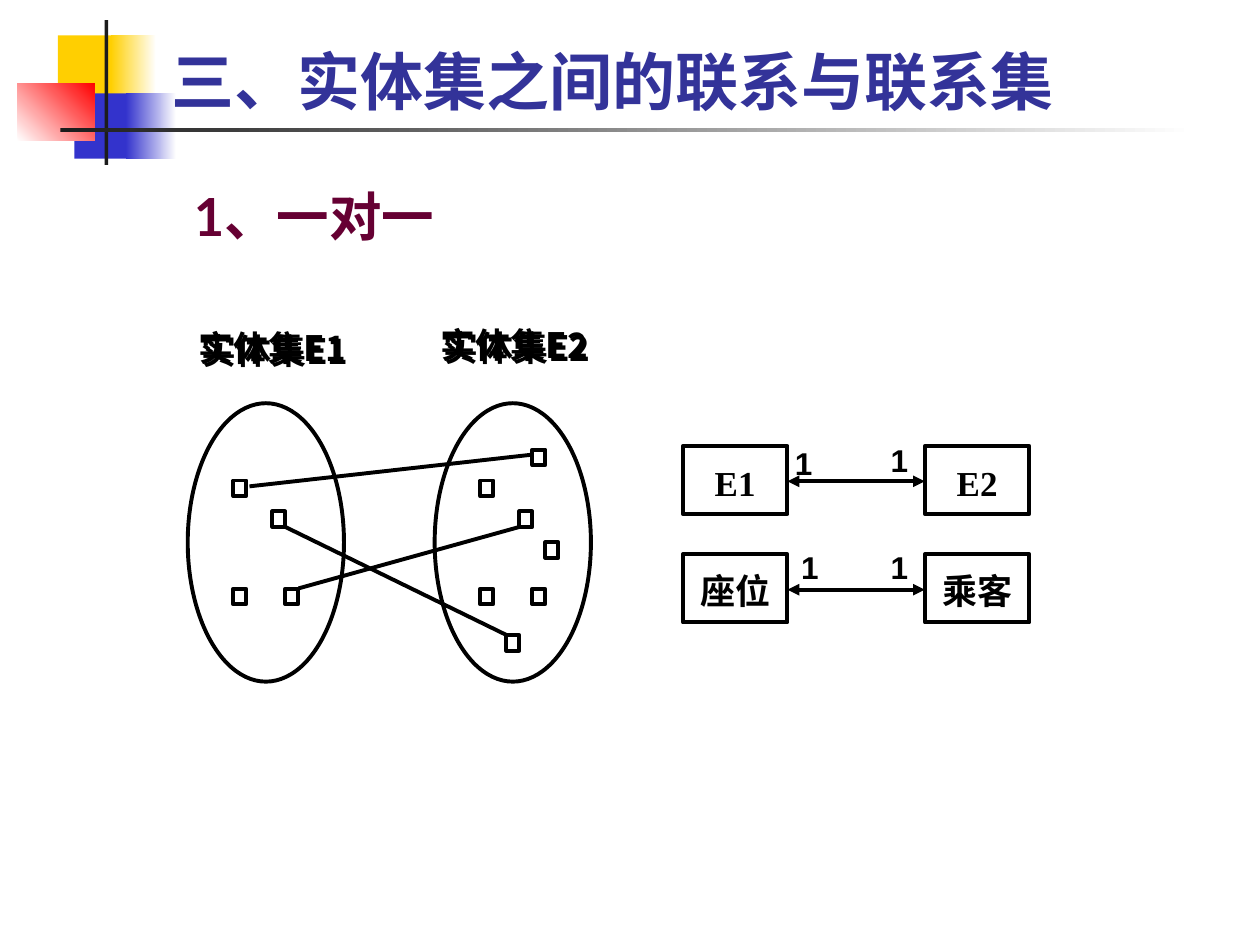
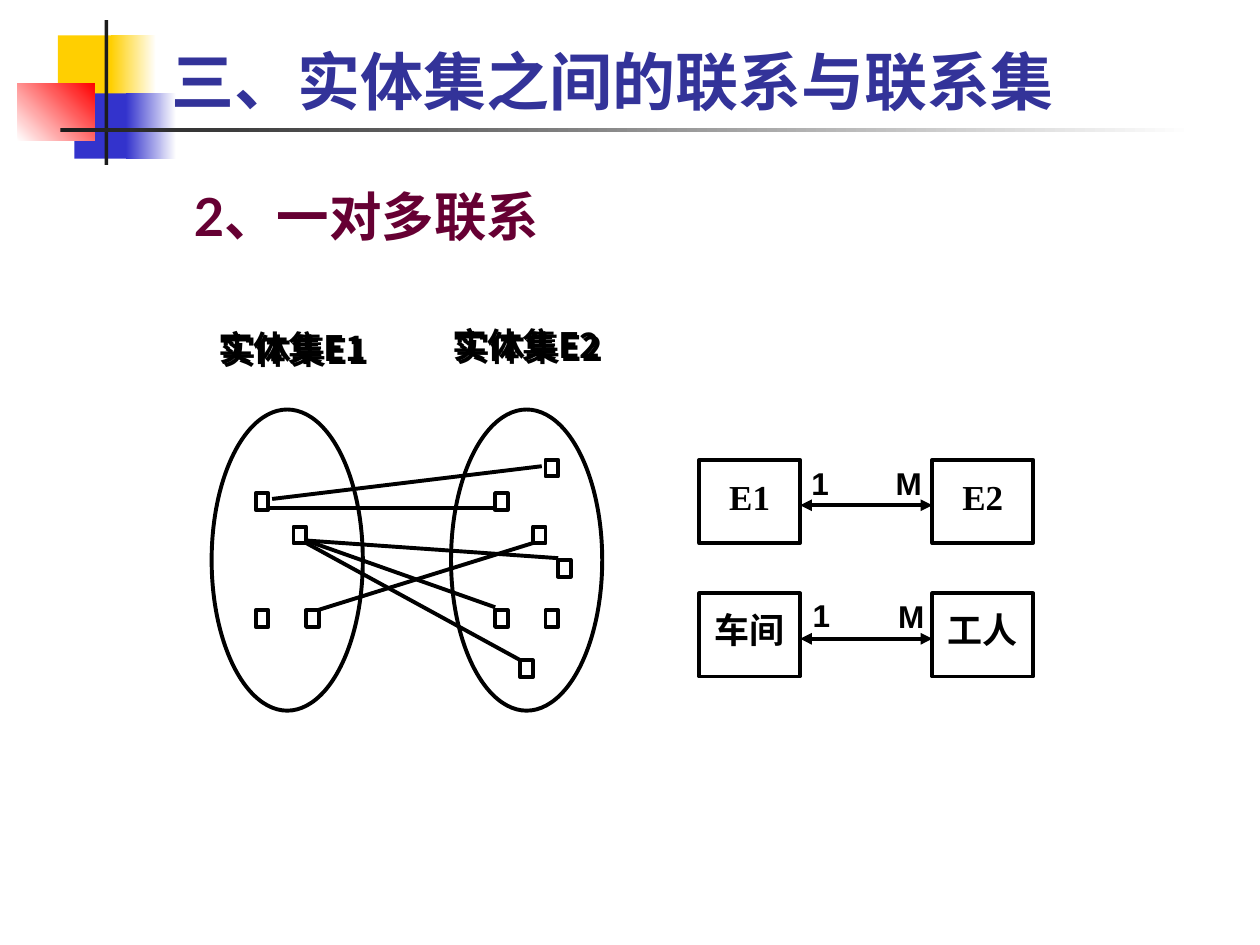
"""Build two slides on one-to-one and one-to-many links between entity sets."""
from dataclasses import dataclass
from typing import Any, NamedTuple

from lxml import etree
from pptx import Presentation, util as u
from pptx.dml import color
from pptx.enum import shapes, text
from pptx.oxml import ns

COLORS = {
    "yellow": "FFCF01", "blue": "3333CC", "red": "FF0000", "white": "FFFFFF",
    "rule": "1C1C1C", "ink": "000000", "title": "333399", "heading": "660033",
}
TITLE = "三、实体集之间的联系与联系集"
CJK_FONT = "Noto Sans CJK SC"
LINE_WIDTH = 2.25
RECT = shapes.MSO_SHAPE.RECTANGLE
OVAL = shapes.MSO_SHAPE.OVAL


class Box(NamedTuple):
    left: float
    top: float
    width: float
    height: float


class Line(NamedTuple):
    x1: float
    y1: float
    x2: float
    y2: float


class Band(NamedTuple):
    box: Box
    start: str
    end: str = ""
    angle: float = 0


class Style(NamedTuple):
    size: float
    font: str
    color: str = "ink"
    align: Any = text.PP_ALIGN.LEFT
    spacing: float = 1.0


class Count(NamedTuple):
    label: str
    left: float
    top: float


class Pair(NamedTuple):
    first: str
    second: str
    top: float
    counts: tuple[Count, Count]


@dataclass
class Relation:
    heading: str
    ovals: tuple[Box, Box]
    label_size: tuple[float, float]
    links: list[Line]
    pair_lefts: tuple[float, float]
    pair_size: tuple[float, float]
    arrow_drop: float
    pairs: list[Pair]


BANDS = [
    Band(Box(0.46, 0.28, 0.48, 0.52), "yellow"),
    Band(Box(0.88, 0.28, 0.36, 0.52), "yellow", "white"),
    Band(Box(0.59, 0.74, 0.46, 0.52), "blue"),
    Band(Box(1, 0.74, 0.4, 0.52), "blue", "white"),
    Band(Box(0.14, 0.66, 0.61, 0.46), "white", "red", 45),
    Band(Box(0.83, 0.16, 0.03, 1.15), "rule"),
    Band(Box(0.48, 1.02, 9, 0.03), "rule", "white"),
]
STYLES = {
    "title": Style(36, "Lato", "title"),
    "heading": Style(30, "Lato", "heading", spacing=1.2),
    "set": Style(20, CJK_FONT, align=text.PP_ALIGN.CENTER),
    "entity": Style(20, "Times New Roman", align=text.PP_ALIGN.CENTER),
    "count": Style(18, "Arial"),
}
NO_MARGINS = {f"margin_{side}": 0 for side in ("left", "top", "right", "bottom")}
BOTTOM = {"vertical_anchor": text.MSO_ANCHOR.BOTTOM}
COLUMNS, ROWS = 24, 18
E1_CELLS = [(7, 5), (13, 7), (15, 12), (7, 12)]
E2_CELLS = E1_CELLS + [(17, 9), (15, 3), (11, 15)]
SET_LABELS = [("实体集E1", E1_CELLS, 0.16, 2.59), ("实体集E2", E2_CELLS, 0.2, 2.57)]

RELATIONS = [
    Relation(
        "1、一对一",
        (Box(1.49, 3.2, 1.24, 2.21), Box(3.45, 3.2, 1.24, 2.21)),
        (1.66, 0.61),
        [Line(1.98, 3.86, 4.21, 3.61), Line(2.26, 4.18, 4.02, 5.04),
         Line(2.37, 4.67, 4.13, 4.18)],
        (5.42, 7.34), (0.83, 0.54), 0.28,
        [Pair("座位", "乘客", 4.4, (Count("1", 6.26, 4.3), Count("1", 6.97, 4.3))),
         Pair("E1", "E2", 3.54, (Count("1", 6.21, 3.47), Count("1", 6.97, 3.45)))],
    ),
    Relation(
        "2、一对多联系",
        (Box(1.68, 3.25, 1.2, 2.39), Box(3.58, 3.25, 1.2, 2.39)),
        (1.6, 0.66),
        [Line(2.16, 3.96, 4.3, 3.7), Line(2.43, 4.31, 4.13, 5.24),
         Line(2.53, 4.84, 4.23, 4.31), Line(2.13, 4.03, 3.93, 4.03),
         Line(2.43, 4.29, 3.93, 4.82), Line(2.43, 4.29, 4.43, 4.43)],
        (5.55, 7.4), (0.8, 0.66), 0.36,
        [Pair("车间", "工人", 4.71, (Count("1", 6.35, 4.68), Count("M", 7.03, 4.69))),
         Pair("E1", "E2", 3.65, (Count("1", 6.34, 3.63), Count("M", 7.01, 3.63)))],
    ),
]


def rgb(name: str) -> color.RGBColor:
    """Look up a colour by name."""
    return color.RGBColor.from_string(COLORS[name])


def add_xml(parent: Any, tag: str, **attrs: str) -> Any:
    """Append a DrawingML element."""
    return etree.SubElement(parent, ns.qn(tag), attrs)


def set_attrs(target: Any, values: dict[str, Any]) -> None:
    """Set several attributes on one object."""
    for name, value in values.items():
        setattr(target, name, value)


def set_line(sp: Any) -> None:
    """Give a shape or connector the common black line."""
    sp.line.color.rgb = rgb("ink")
    sp.line.width = u.Pt(LINE_WIDTH)


def write(sp: Any, words: str, style: Style, frame: dict[str, Any]) -> None:
    """Fill a shape's text frame with one styled paragraph."""
    tf = sp.text_frame
    set_attrs(tf, {"word_wrap": True, "vertical_anchor": text.MSO_ANCHOR.TOP} | frame)
    p = tf.paragraphs[0]
    set_attrs(p, {"alignment": style.align, "line_spacing": style.spacing})
    r = p.add_run()
    r.text = words
    r.font.color.rgb = rgb(style.color)
    set_attrs(r.font, {"size": u.Pt(style.size), "bold": True, "name": style.font})
    add_xml(r.font._element, "a:ea", typeface=CJK_FONT)


def add_text(s: Any, box: Box, words: str, style: str, frame: dict[str, Any]) -> Any:
    """Add a text box."""
    sp = s.shapes.add_textbox(*map(u.Inches, box))
    write(sp, words, STYLES[style], frame)
    return sp


def add_outline(s: Any, kind: Any, box: Box) -> Any:
    """Add an unfilled shape with a black outline."""
    sp = s.shapes.add_shape(kind, *map(u.Inches, box))
    sp.shadow.inherit = False
    sp.fill.background()
    set_line(sp)
    return sp


def add_line(s: Any, line: Line, arrows: bool = False) -> None:
    """Add a straight line, with arrowheads at both ends if asked."""
    sp = s.shapes.add_connector(shapes.MSO_CONNECTOR.STRAIGHT, *map(u.Inches, line))
    set_line(sp)
    if arrows:
        ln = sp.line._get_or_add_ln()
        for end in ("a:headEnd", "a:tailEnd"):
            add_xml(ln, end, type="triangle")
    add_xml(sp._element.spPr, "a:effectLst")


def add_band(s: Any, band: Band) -> None:
    """Add one plain or gradient block of the page design."""
    sp = s.shapes.add_shape(RECT, *map(u.Inches, band.box))
    sp.shadow.inherit = False
    sp.line.fill.background()
    if not band.end:
        sp.fill.solid()
        sp.fill.fore_color.rgb = rgb(band.start)
        return
    sp.fill.gradient()
    sp.fill.gradient_angle = band.angle
    for stop, name, place in zip(sp.fill.gradient_stops, (band.start, band.end), (0, 1)):
        stop.color.rgb = rgb(name)
        stop.position = place


def add_set_label(s: Any, box: Box, words: str) -> None:
    """Add an entity set label with a text shadow."""
    sp = add_text(s, box, words, "set", NO_MARGINS)
    effects = add_xml(sp._element.spPr, "a:effectLst")
    shadow = add_xml(effects, "a:outerShdw", dist="28400", dir="2700000", algn="ctr")
    add_xml(shadow, "a:srgbClr", val=COLORS["ink"])


def add_entity_sets(s: Any, relation: Relation) -> None:
    """Draw both entity sets with their members and links."""
    for oval, (label, cells, shift, top) in zip(relation.ovals, SET_LABELS):
        add_set_label(s, Box(oval.left - shift, top, *relation.label_size), label)
        add_outline(s, OVAL, oval)
        dx, dy = oval.width / COLUMNS, oval.height / ROWS
        for col, row in cells:
            add_outline(s, RECT, Box(oval.left + col * dx, oval.top + row * dy, 2 * dx, dy))
    for link in relation.links:
        add_line(s, link)


def add_pair(s: Any, relation: Relation, pair: Pair) -> None:
    """Draw two entity boxes joined by a double arrow with counts."""
    for left, name in zip(relation.pair_lefts, (pair.first, pair.second)):
        sp = add_outline(s, RECT, Box(left, pair.top, *relation.pair_size))
        write(sp, name, STYLES["entity"], NO_MARGINS | {"margin_top": u.Inches(0.12)})
    start, end = relation.pair_lefts
    y = pair.top + relation.arrow_drop
    add_line(s, Line(start + relation.pair_size[0], y, end, y), arrows=True)
    for count in pair.counts:
        add_text(s, Box(count.left, count.top, 0.55, 0.4), count.label, "count",
                 BOTTOM | {"auto_size": text.MSO_AUTO_SIZE.SHAPE_TO_FIT_TEXT})


def add_relation_slide(prs: Any, relation: Relation) -> None:
    """Add one complete slide."""
    s = prs.slides.add_slide(prs.slide_layouts[6])
    for band in BANDS:
        add_band(s, band)
    add_text(s, Box(1.44, 1.31, 8, 0.8), relation.heading, "heading", {})
    add_entity_sets(s, relation)
    for pair in relation.pairs:
        add_pair(s, relation, pair)
    add_text(s, Box(1.26, 0.08, 8.52, 0.91), TITLE, "title", BOTTOM)


def main() -> None:
    """Build and save the presentation."""
    prs = Presentation()
    set_attrs(prs, {"slide_width": u.Inches(10), "slide_height": u.Inches(7.5)})
    for relation in RELATIONS:
        add_relation_slide(prs, relation)
    prs.save("out.pptx")


if __name__ == "__main__":
    main()
